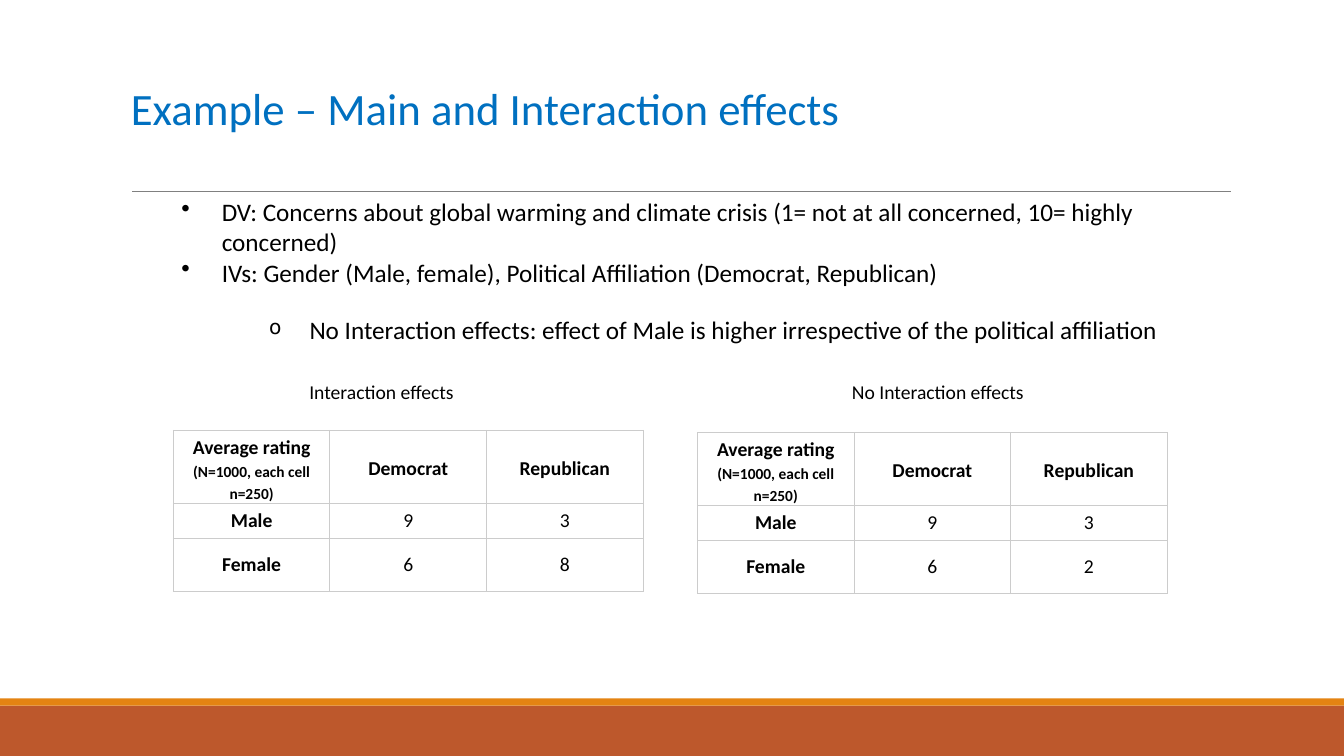
"""Build the slide on main and interaction effects."""
from lxml.etree import SubElement
from pptx import Presentation
from pptx.dml.color import RGBColor as Color
from pptx.enum.shapes import MSO_CONNECTOR as Connector, MSO_SHAPE as Shape
from pptx.enum.text import MSO_ANCHOR as Anchor, PP_ALIGN as Align
from pptx.oxml import parse_xml
from pptx.oxml.ns import nsdecls, qn
from pptx.util import Inches, Pt

COLORS = {"title": "0070C0", "text": "000000", "rule": "808080",
          "border": "CCCCCC", "band": "BD582C", "stripe": "E48312"}
COLUMNS, ROWS = 40, 30


def write(paragraph, text, size=18, color="text", bold=False):
    run = paragraph.add_run()
    run.text = text
    run.font.name = "Calibri"
    run.font.size = Pt(size)
    run.font.bold = bold
    run.font.color.rgb = Color.from_string(COLORS[color])


class SlideBuilder:
    def __init__(self, presentation):
        self.slide = presentation.slides.add_slide(presentation.slide_layouts[6])
        self.column = presentation.slide_width / COLUMNS
        self.row = presentation.slide_height / ROWS

    def place(self, left, top, width, height):
        return (round(left * self.column), round(top * self.row),
                round(width * self.column), round(height * self.row))

    def band(self, top, height, color):
        shape = self.slide.shapes.add_shape(
            Shape.RECTANGLE, *self.place(0, top, COLUMNS, height))
        shape.shadow.inherit = False
        shape.fill.solid()
        shape.fill.fore_color.rgb = Color.from_string(COLORS[color])
        shape.line.fill.background()

    def rule(self, left, right, top):
        line = self.slide.shapes.add_connector(
            Connector.STRAIGHT, *self.place(left, top, right, top))
        line.line.color.rgb = Color.from_string(COLORS["rule"])
        line.line.width = Pt(0.5)
        SubElement(line._element.spPr, qn("a:effectLst"))

    def text_box(self, *area, wrap=True):
        frame = self.slide.shapes.add_textbox(*self.place(*area)).text_frame
        frame.word_wrap = wrap
        return frame

    def title(self, text, *area):
        frame = self.text_box(*area)
        frame.vertical_anchor = Anchor.MIDDLE
        frame.paragraphs[0].line_spacing = 0.85
        write(frame.paragraphs[0], text, size=32, color="title")

    def bullets(self, items, *area):
        frame = self.text_box(*area)
        frame.margin_left = frame.margin_right = 0
        for index, (text, mark, percent, indent, before) in enumerate(items):
            paragraph = frame.add_paragraph() if index else frame.paragraphs[0]
            paragraph.space_before = Pt(before)
            write(paragraph, text)
            properties = paragraph._p.get_or_add_pPr()
            properties.set("marL", str(Inches(indent)))
            properties.set("indent", str(Inches(-0.4)))
            SubElement(properties, qn("a:buSzPct"), val=str(percent * 1000))
            SubElement(properties, qn("a:buChar"), char=mark)

    def caption(self, text, *area):
        paragraph = self.text_box(*area, wrap=False).paragraphs[0]
        paragraph.alignment = Align.CENTER
        write(paragraph, text, size=14)

    def table(self, records, left, top, width, heights):
        area = self.place(left, top, width, sum(heights))
        table = self.slide.shapes.add_table(len(records), len(records[0]), *area).table
        table.first_row = table.horz_banding = False
        for row_index, (record, height) in enumerate(zip(records, heights)):
            table.rows[row_index].height = round(height * self.row)
            for column_index, text in enumerate(record):
                cell = table.cell(row_index, column_index)
                self.format_cell(cell)
                paragraph = cell.text_frame.paragraphs[0]
                paragraph.alignment = Align.CENTER
                paragraph.line_spacing = 1.0 if row_index else 1.15
                write(paragraph, text, size=14, bold=row_index == 0 or column_index == 0)
        write(table.cell(0, 0).text_frame.paragraphs[0],
              "(N=1000, each cell n=250)", size=11, bold=True)

    def format_cell(self, cell):
        cell.vertical_anchor = Anchor.MIDDLE
        cell.margin_left = cell.margin_right = Inches(0.03)
        cell.margin_top = cell.margin_bottom = Inches(0.02)
        cell.fill.background()
        properties = cell._tc.get_or_add_tcPr()
        for index, side in enumerate("LRTB"):
            properties.insert(index, parse_xml(
                f'<a:ln{side} {nsdecls("a")} w="{Pt(0.75)}"><a:solidFill>'
                f'<a:srgbClr val="{COLORS["border"]}"/></a:solidFill></a:ln{side}>'))


def main():
    presentation = Presentation()
    presentation.slide_width, presentation.slide_height = Inches(13.33), Inches(7.5)
    builder = SlideBuilder(presentation)
    builder.band(28, 2, "band")
    builder.band(27.72, 0.28, "stripe")
    builder.rule(3.93, 36.63, 7.6)
    builder.title("Example – Main and Interaction effects", 3.6, 1.24, 33, 6.36)
    builder.bullets([
        ("DV: Concerns about global warming and climate crisis "
         "(1= not at all concerned, 10= highly concerned)", "•", 100, 1, 0),
        ("IVs: Gender (Male, female), Political Affiliation (Democrat, Republican)",
         "•", 100, 1, 0),
        ("No Interaction effects: effect of Male is higher irrespective "
         "of the political affiliation", "o", 80, 1.87, 19.5),
    ], 3.6, 7.6, 33, 6.4)
    panels = [
        ("Interaction effects", 8.88, 4.95, 5.16, 17.08, "8"),
        ("No Interaction effects", 25.02, 5.79, 20.76, 17.16, "2"),
    ]
    for caption, caption_left, caption_width, left, top, last_rating in panels:
        builder.caption(caption, caption_left, 14.88, caption_width, 1.36)
        builder.table([("Average rating ", "Democrat", "Republican"),
                       ("Male", "9", "3"),
                       ("Female", "6", last_rating)],
                      left, top, 13.98, (2.84, 1.36, 2.1))
    presentation.save("out.pptx")


main()
